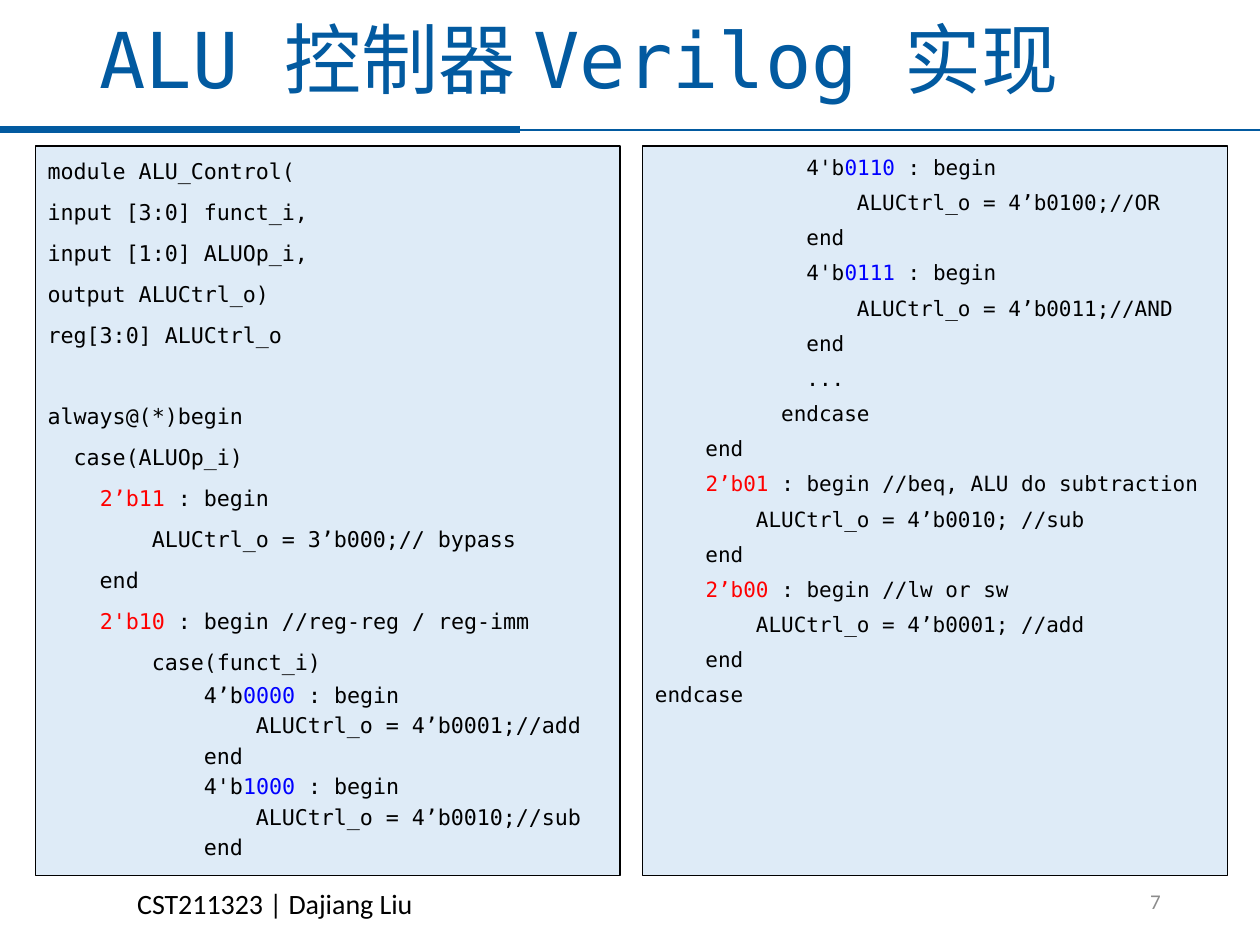
from dataclasses import dataclass

from pptx import Presentation
from pptx.dml.color import RGBColor as RGB
from pptx.enum.shapes import MSO_CONNECTOR as Connector, MSO_SHAPE as Preset
from pptx.enum.text import MSO_ANCHOR as Anchor, PP_ALIGN as Align
from pptx.oxml.ns import qn
from pptx.util import Pt


@dataclass(frozen=True)
class Theme:
    accent: RGB = RGB(0x02, 0x5A, 0xA0)
    panel: RGB = RGB(0xDE, 0xEB, 0xF7)
    ink: RGB = RGB(0, 0, 0)
    muted: RGB = RGB(0x8C, 0x8C, 0x8C)
    opcode: RGB = RGB(0xFF, 0, 0)
    funct: RGB = RGB(0, 0, 0xFF)
    code_font: str = "DejaVu Sans Mono"
    body_font: str = "Calibri"
    title_size: float = 44
    footer_size: float = 16
    number_size: float = 12
    left_code_size: float = 12.4
    right_code_size: float = 12


LEFT_HEAD = """module ALU_Control(
input [3:0] funct_i,
input [1:0] ALUOp_i,
output ALUCtrl_o)
reg[3:0] ALUCtrl_o

always@(*)begin
  case(ALUOp_i)
    2’b11 : begin
        ALUCtrl_o = 3’b000;// bypass
    end
    2'b10 : begin //reg-reg / reg-imm
        case(funct_i)"""

LEFT_TAIL = """            4’b0000 : begin
                ALUCtrl_o = 4’b0001;//add
            end
            4'b1000 : begin
                ALUCtrl_o = 4’b0010;//sub
            end"""

RIGHT_CODE = """            4'b0110 : begin
                ALUCtrl_o = 4’b0100;//OR
            end
            4'b0111 : begin
                ALUCtrl_o = 4’b0011;//AND
            end
            ...
          endcase
    end
    2’b01 : begin //beq, ALU do subtraction
        ALUCtrl_o = 4’b0010; //sub
    end
    2’b00 : begin //lw or sw
        ALUCtrl_o = 4’b0001; //add
    end
endcase"""


def apply(target, formats):
    for name, value in formats.items():
        setattr(target, name, value)


class SlideBuilder:
    def __init__(self, slide, theme):
        self.slide = slide
        self.theme = theme

    def add_run(self, paragraph, text, font, size, color):
        run = paragraph.add_run()
        run.text = text
        apply(run.font, {"name": font, "size": Pt(size)})
        run.font.color.rgb = color

    def text(self, text, box, font, size, color, wrap=True,
             anchor=Anchor.MIDDLE, **paragraph_format):
        frame = self.slide.shapes.add_textbox(*map(Pt, box)).text_frame
        apply(frame, {"word_wrap": wrap, "vertical_anchor": anchor})
        paragraph = frame.paragraphs[0]
        apply(paragraph, paragraph_format)
        self.add_run(paragraph, text, font, size, color)

    def rule(self, left, right, y, width):
        line = self.slide.shapes.add_connector(
            Connector.STRAIGHT, Pt(left), Pt(y), Pt(right), Pt(y))
        line.line.color.rgb = self.theme.accent
        line.line.width = Pt(width)
        properties = line._element.spPr
        properties.append(properties.makeelement(qn("a:effectLst"), {}))

    def code_parts(self, line):
        """Split a line into coloured parts; case labels are highlighted."""
        theme = self.theme
        label, mark, rest = line.partition(" : begin")
        if not mark:
            return [(line, theme.ink)]
        is_opcode = label.lstrip().startswith("2")
        start = label.index("2") if is_opcode else label.index("b") + 1
        color = theme.opcode if is_opcode else theme.funct
        return [(label[:start], theme.ink), (label[start:], color),
                (mark + rest, theme.ink)]

    def code_panel(self, box, size, sections):
        """Draw a panel from (code, line spacing) sections."""
        theme = self.theme
        panel = self.slide.shapes.add_shape(Preset.RECTANGLE, *map(Pt, box))
        panel.shadow.inherit = False
        panel.fill.solid()
        panel.fill.fore_color.rgb = theme.panel
        panel.line.color.rgb = theme.ink
        panel.line.width = Pt(0.75)
        frame = panel.text_frame
        apply(frame, {
            "word_wrap": True, "vertical_anchor": Anchor.TOP,
            "margin_left": Pt(7.2), "margin_right": Pt(7.2),
            "margin_top": Pt(8.64), "margin_bottom": 0,
        })
        paragraph, gap = frame.paragraphs[0], 0
        for code, spacing in sections:
            for line in code.splitlines():
                if not line:  # an empty line becomes space before the next
                    gap += 10 + size * 1.164 * spacing
                    continue
                if paragraph is None:
                    paragraph = frame.add_paragraph()
                apply(paragraph, {
                    "alignment": Align.LEFT, "line_spacing": spacing,
                    "space_before": Pt(gap),
                })
                for text, color in self.code_parts(line):
                    self.add_run(paragraph, text, theme.code_font, size, color)
                paragraph, gap = None, 10


def main():
    theme = Theme()
    presentation = Presentation()
    apply(presentation, {"slide_width": Pt(720), "slide_height": Pt(540)})
    slide = presentation.slides.add_slide(presentation.slide_layouts[6])
    builder = SlideBuilder(slide, theme)

    # Footer
    builder.text("CST211323 | Dajiang Liu", (71.3, 503.3, 173.5, 26.6),
                 theme.body_font, theme.footer_size, theme.ink,
                 wrap=False, anchor=Anchor.TOP)
    builder.text("7", (508.3, 500.4, 162, 28.8), theme.body_font,
                 theme.number_size, theme.muted, alignment=Align.RIGHT)

    # Title and the rules below it
    builder.rule(0, 297.4, 74.2, 4)
    builder.rule(27.4, 720, 74.2, 1)
    builder.text("ALU 控制器 Verilog 实现", (49.7, 7.9, 620.6, 56.2),
                 theme.code_font, theme.title_size, theme.accent,
                 line_spacing=0.9)

    # Code panels
    top, width, height = 83.5, 334.1, 416.9
    builder.code_panel((20.2, top, width, height), theme.left_code_size,
                       [(LEFT_HEAD, 0.9), (LEFT_TAIL, 0.5)])
    builder.code_panel((367.2, top, width, height), theme.right_code_size,
                       [(RIGHT_CODE, 0.7)])

    presentation.save("out.pptx")


if __name__ == "__main__":
    main()
